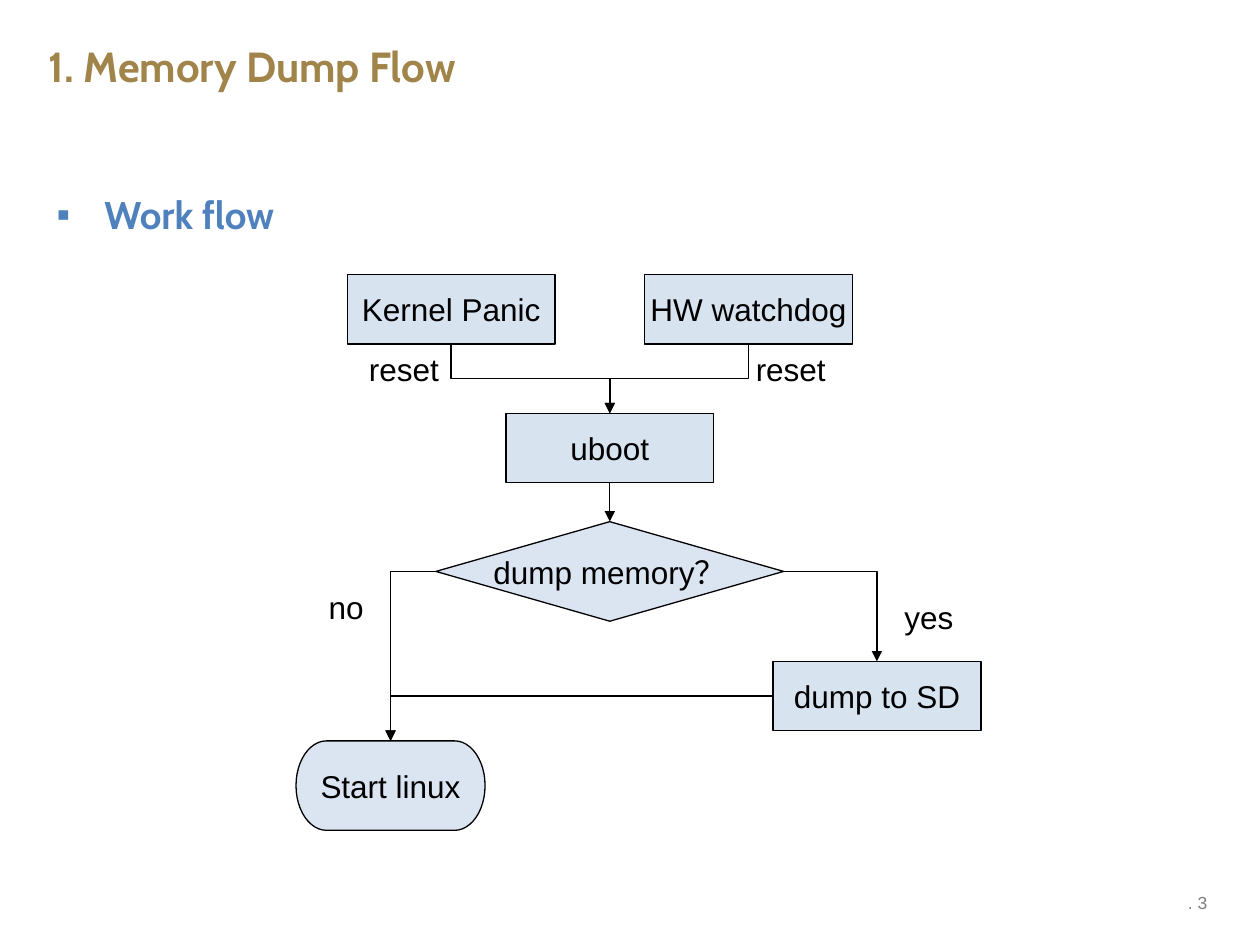
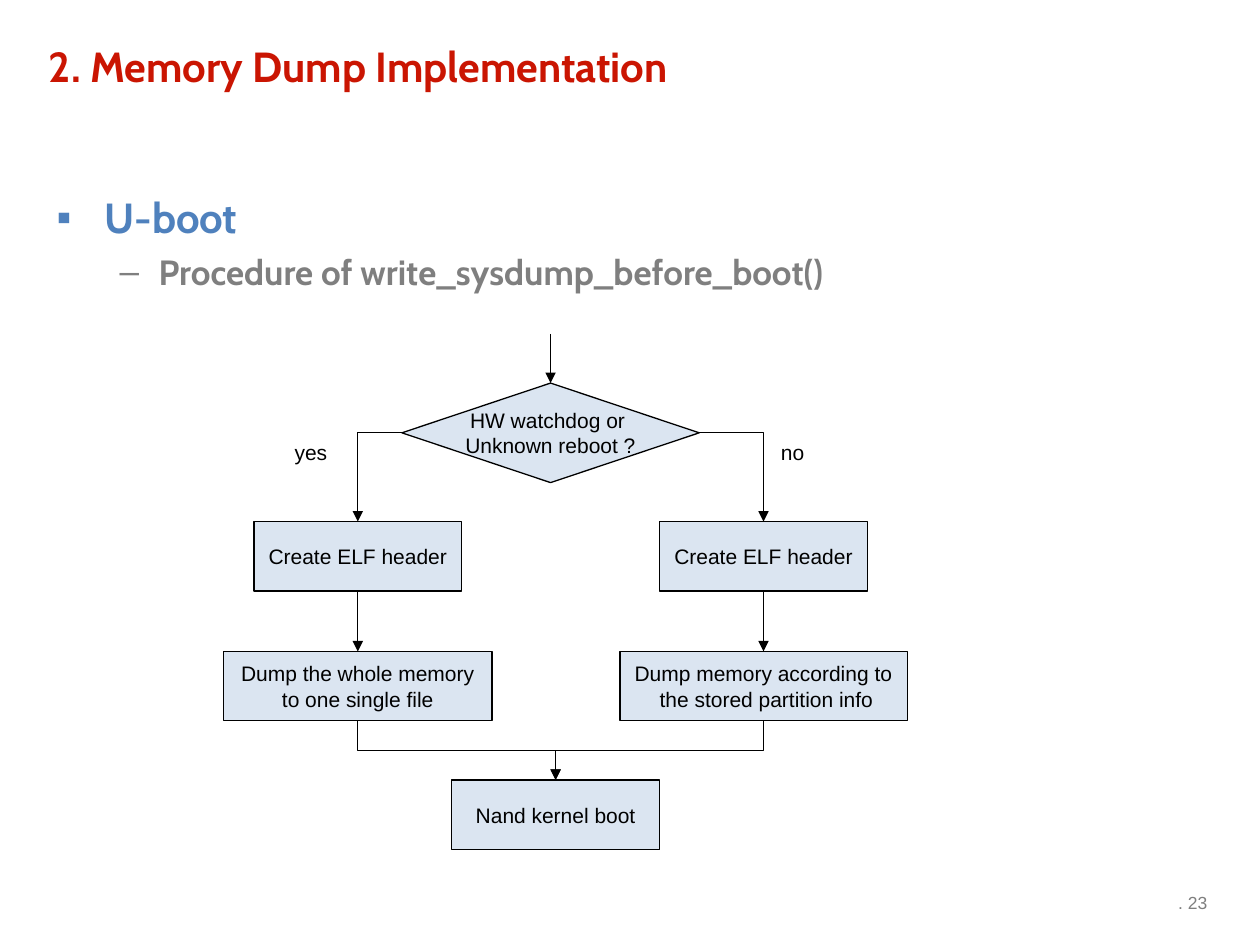
from lxml import etree
from pptx import Presentation
from pptx.dml.color import RGBColor
from pptx.enum import shapes, text
from pptx.oxml.ns import qn
from pptx.util import Inches, Pt

GOLD = RGBColor(0xA1, 0x84, 0x49)
RED = RGBColor(0xCA, 0x15, 0x02)
BLUE = RGBColor(0x4F, 0x81, 0xBD)
GREY = RGBColor(0x7F, 0x7F, 0x7F)
BLACK = RGBColor(0, 0, 0)
HEAD, BODY = "Cabin", "Arial"

KIND = shapes.MSO_SHAPE
LINE = shapes.MSO_CONNECTOR
LEFT, MID, RIGHT = text.PP_ALIGN.LEFT, text.PP_ALIGN.CENTER, text.PP_ALIGN.RIGHT

# kind: (preset, height, opacity in percent)
KINDS = {
    "box": (KIND.RECTANGLE, 0.55, 22),
    "step": (KIND.FLOWCHART_PROCESS, 0.55, 20),
    "ask": (KIND.FLOWCHART_DECISION, 0.79, 20),
    "end": (KIND.FLOWCHART_TERMINATOR, 0.71, 20),
}
# level: (bullet, text indent, hanging indent, space before, colour)
LEVELS = [("▪", 0.38, 0.38, 0, BLUE), ("–", 0.81, 0.31, 5, GREY)]

# nodes: name: (text, kind, centre x, top, width)
# links: (from, to, route); "drop" leaves the bottom, "side" leaves a side,
#        "enter" comes from above without a source
# labels: (text, left, top, width, height)
SLIDES = [
    {
        "title": "1. Memory Dump Flow", "tint": GOLD, "page": ". 3", "size": 18,
        "points": [("Work flow", 0, 22)],
        "nodes": {
            "panic": ("Kernel Panic", "box", 3.58, 2.18, 1.65),
            "watch": ("HW watchdog", "box", 5.94, 2.18, 1.65),
            "uboot": ("uboot", "box", 4.84, 3.28, 1.65),
            "ask": ("dump memory？", "ask", 4.84, 4.14, 2.76),
            "dump": ("dump to SD", "box", 6.96, 5.25, 1.65),
            "start": ("Start linux", "end", 3.1, 5.88, 1.5),
        },
        "links": [
            ("panic", "uboot", "drop"), ("watch", "uboot", "drop"),
            ("uboot", "ask", "drop"), ("ask", "start", "side"),
            ("ask", "dump", "side"), ("dump", "start", "side"),
        ],
        "labels": [
            ("reset", 2.83, 2.73, 0.77, 0.4), ("reset", 5.9, 2.73, 0.77, 0.4),
            ("no", 2.51, 4.62, 0.49, 0.4), ("yes", 7.08, 4.7, 0.6, 0.4),
        ],
    },
    {
        "title": "2. Memory Dump Implementation", "tint": RED, "page": ". 23", "size": 12,
        "points": [("U-boot", 0, 24),
                   ("Procedure of write_sysdump_before_boot()", 1, 20)],
        "nodes": {
            "ask": ("HW watchdog or \nUnknown reboot ?", "ask", 4.37, 3.04, 2.36),
            "head": ("Create ELF header", "step", 2.84, 4.14, 1.65),
            "head2": ("Create ELF header", "step", 6.06, 4.14, 1.65),
            "whole": ("Dump the whole memory\nto one single file", "step", 2.84, 5.17, 2.13),
            "part": ("Dump memory according to\n the stored partition info",
                     "step", 6.06, 5.17, 2.28),
            "boot": ("Nand kernel boot", "step", 4.41, 6.19, 1.65),
        },
        "links": [
            (None, "ask", "enter"), ("ask", "head", "side"), ("ask", "head2", "side"),
            ("head", "whole", "drop"), ("head2", "part", "drop"),
            ("whole", "boot", "drop"), ("part", "boot", "drop"),
        ],
        "labels": [("yes", 2.24, 3.44, 0.47, 0.3), ("no", 6.1, 3.44, 0.4, 0.3)],
    },
]


def style(part, size, font, tint, bold=False):
    for run in part.runs:
        run.font.size, run.font.name, run.font.bold = Pt(size), font, bold
        run.font.color.rgb = tint


def write(shape, words, size, font, tint, align=LEFT, bold=False, wrap=True):
    frame = shape.text_frame
    frame.text = words
    frame.word_wrap = wrap
    for part in frame.paragraphs:
        part.alignment = align
        style(part, size, font, tint, bold)
    return frame


def add_box(slide, *place):
    return slide.shapes.add_textbox(*map(Inches, place))


def add_points(slide, points):
    frame = add_box(slide, 0.35, 1.47, 9.29, 5.23).text_frame
    frame.word_wrap = True
    for i, (words, level, size) in enumerate(points):
        mark, indent, hang, gap, tint = LEVELS[level]
        part = frame.add_paragraph() if i else frame.paragraphs[0]
        part.text = words
        part.level = level
        part.space_before = Pt(gap)
        props = part._p.get_or_add_pPr()
        props.set("marL", str(Inches(indent)))
        props.set("indent", str(-Inches(hang)))
        color = etree.SubElement(props, qn("a:buClr"))
        etree.SubElement(color, qn("a:srgbClr"), val=str(tint))
        etree.SubElement(props, qn("a:buFont"), typeface=BODY)
        etree.SubElement(props, qn("a:buChar"), char=mark)
        style(part, size, HEAD, tint, True)


def add_node(slide, node, size):
    words, kind, mid, top, width = node
    preset, height, alpha = KINDS[kind]
    shape = slide.shapes.add_shape(
        preset, *map(Inches, (mid - width / 2, top, width, height)))
    shape.shadow.inherit = False
    shape.fill.solid()
    shape.fill.fore_color.rgb = BLUE
    color = shape._element.spPr.find(qn("a:solidFill"))[0]
    etree.SubElement(color, qn("a:alpha"), val=str(alpha * 1000))
    shape.line.color.rgb = BLACK
    shape.line.width = Pt(0.75)
    frame = write(shape, words, size, BODY, BLACK, MID, wrap=False)
    frame.vertical_anchor = text.MSO_ANCHOR.MIDDLE


def add_link(slide, start, goal, route):
    x2, y2 = goal[2:4]
    if route == "enter":
        x1, y1 = x2, y2 - 0.39
    else:
        _, kind, x1, top, width = start
        height = KINDS[kind][1]
        if route == "side":
            x1 += width / 2 if x2 > x1 else -width / 2
            y1 = top + height / 2
        else:
            y1 = top + height
    bent = x1 != x2
    ends = (x1, y1, x2, y2)
    if bent and route == "drop":
        # An elbow runs sideways first, so lay it out flat and turn it.
        mid, level = (x1 + x2) / 2, (y1 + y2) / 2
        half, rise = (y2 - y1) / 2, abs(x2 - x1) / 2
        ends = (mid - half, level - rise, mid + half, level + rise)
    link = slide.shapes.add_connector(
        LINE.ELBOW if bent else LINE.STRAIGHT, *map(Inches, ends))
    props = link._element.spPr
    if route == "side":
        props.find(qn("a:prstGeom")).set("prst", "bentConnector2")
    elif bent:
        frame = props.find(qn("a:xfrm"))
        frame.set("rot", str((270 if x2 > x1 else 90) * 60000))
        if x2 > x1:
            frame.set("flipH", "1")
    link.line.color.rgb = BLACK
    link.line.width = Pt(0.75)
    etree.SubElement(props.find(qn("a:ln")), qn("a:tailEnd"), type="triangle")
    etree.SubElement(props, qn("a:effectLst"))


def add_label(slide, words, place, size):
    frame = write(add_box(slide, *place), words, size, BODY, BLACK, wrap=False)
    frame.auto_size = text.MSO_AUTO_SIZE.SHAPE_TO_FIT_TEXT


def build(deck, page):
    slide = deck.slides.add_slide(deck.slide_layouts[6])
    title = write(add_box(slide, 0.29, 0.22, 6.68, 0.61), page["title"],
                  24, HEAD, page["tint"], bold=True)
    title.vertical_anchor = text.MSO_ANCHOR.MIDDLE
    write(add_box(slide, 7.35, 7.03, 2.33, 0.31), page["page"], 10, BODY, GREY, RIGHT)
    add_points(slide, page["points"])
    nodes, size = page["nodes"], page["size"]
    for node in nodes.values():
        add_node(slide, node, size)
    for start, goal, route in page["links"]:
        add_link(slide, nodes.get(start), nodes[goal], route)
    for words, *place in page["labels"]:
        add_label(slide, words, place, size)


def main():
    deck = Presentation()
    deck.slide_width, deck.slide_height = Inches(10), Inches(7.5)
    for page in SLIDES:
        build(deck, page)
    deck.save("out.pptx")


if __name__ == "__main__":
    main()
